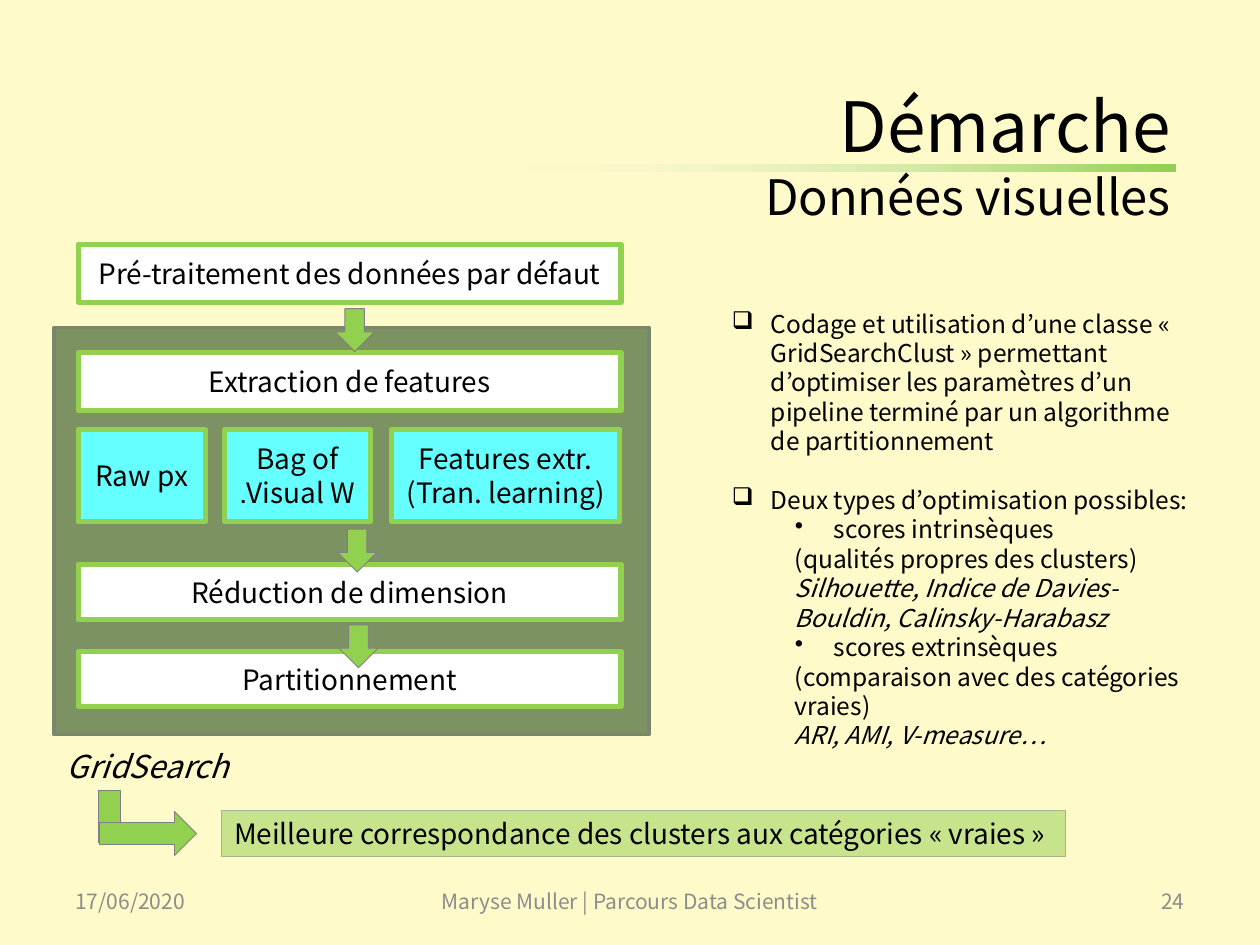
import pptx
import pptx.dml.color
import pptx.enum.shapes
import pptx.enum.text
import pptx.oxml.ns
import pptx.util
from dataclasses import dataclass
from lxml import etree

Inches = pptx.util.Inches
Pt = pptx.util.Pt
RGB = pptx.dml.color.RGBColor.from_string
SHAPE = pptx.enum.shapes.MSO_SHAPE
ALIGN = pptx.enum.text.PP_ALIGN
MIDDLE = pptx.enum.text.MSO_ANCHOR.MIDDLE
qn = pptx.oxml.ns.qn


@dataclass(frozen=True)
class Theme:
    font: str = "Noto Sans CJK JP"
    background: str = "FEFAC9"
    text: str = "000000"
    muted: str = "8C8C8C"
    green: str = "92D050"
    fade: str = "EEF2EA"
    panel: str = "7D9263"
    panel_line: str = "7A866C"
    banner_line: str = "A5B592"
    arrow_line: str = "808080"
    step: str = "FFFFFF"
    option: str = "66FFFF"
    title: float = 39.6
    subtitle: float = 27.9
    caption: float = 18
    label: float = 16
    body: float = 14
    footer: float = 12


theme = Theme()


def add_block(preset, box, fill, line, weight):
    block = slide.shapes.add_shape(preset, *map(Inches, box))
    block.shadow.inherit = False
    block.fill.solid()
    block.fill.fore_color.rgb = RGB(fill)
    block.line.color.rgb = RGB(line)
    block.line.width = Pt(weight)
    return block


def add_run(paragraph, text, size, color=theme.text, italic=False):
    run = paragraph.add_run()
    run.text = text
    run.font.name = theme.font
    run.font.size = Pt(size)
    run.font.color.rgb = RGB(color)
    run.font.italic = italic


presentation = pptx.Presentation()
presentation.slide_width, presentation.slide_height = Inches(10), Inches(7.5)
slide = presentation.slides.add_slide(presentation.slide_layouts[6])
slide.background.fill.solid()
slide.background.fill.fore_color.rgb = RGB(theme.background)

# Grid search panel, behind the pipeline
add_block(SHAPE.RECTANGLE, (0.43, 2.6, 4.72, 3.23), theme.panel, theme.panel_line, 2)

# Title
heading = slide.shapes.add_textbox(Inches(1.2), Inches(0.64), Inches(8.19), Inches(1.17)).text_frame
heading.word_wrap = True
heading.vertical_anchor = MIDDLE
heading_line = heading.paragraphs[0]
heading_line.alignment = ALIGN.RIGHT
add_run(heading_line, "Démarche", theme.title)
heading_line.add_line_break()
add_run(heading_line, "Données visuelles", theme.subtitle)

# Fading rule under the title
rule = add_block(SHAPE.RECTANGLE, (4.18, 1.31, 5.15, 0.05), theme.green, theme.green, 1)
rule.line.fill.background()
rule.fill.gradient()
rule.fill.gradient_angle = 180
for stop, position, color in zip(rule.fill.gradient_stops, (0, 1), (theme.green, theme.fade)):
    stop.position = position
    stop.color.rgb = RGB(color)
fade_color = list(rule._element.spPr.iter(qn("a:srgbClr")))[1]
etree.SubElement(fade_color, qn("a:alpha"), val="0")

# Footer
footer = [
    (0.5, 2.33, ALIGN.LEFT, "17/06/2020"),
    (3.15, 3.7, ALIGN.CENTER, "Maryse Muller | Parcours Data Scientist"),
    (7.17, 2.33, ALIGN.RIGHT, "24"),
]
for left, width, alignment, text in footer:
    note = slide.shapes.add_textbox(Inches(left), Inches(6.95), Inches(width), Inches(0.4)).text_frame
    note.word_wrap = True
    note.vertical_anchor = MIDDLE
    note.paragraphs[0].alignment = alignment
    add_run(note.paragraphs[0], text, theme.footer, theme.muted)

# Result banner, half transparent
banner = add_block(SHAPE.RECTANGLE, (1.76, 6.43, 6.7, 0.37), theme.green, theme.banner_line, 0.5)
banner_color = next(banner._element.spPr.iter(qn("a:srgbClr")))
etree.SubElement(banner_color, qn("a:alpha"), val="50000")
banner.text_frame.vertical_anchor = pptx.enum.text.MSO_ANCHOR.TOP
banner.text_frame.paragraphs[0].alignment = ALIGN.LEFT
add_run(banner.text_frame.paragraphs[0],
        "Meilleure correspondance des clusters aux catégories « vraies »", theme.label)

# Pipeline steps and the three feature options
pipeline = [
    ((0.62, 1.94, 4.31, 0.46), theme.step, "Pré-traitement des données par défaut"),
    ((0.62, 2.8, 4.31, 0.46), theme.step, "Extraction de features"),
    ((0.62, 3.41, 1.01, 0.73), theme.option, "Raw px"),
    ((1.78, 3.41, 1.16, 0.73), theme.option, "Bag of Visual W."),
    ((3.11, 3.41, 1.81, 0.73), theme.option, "Features extr. (Tran. learning)"),
    ((0.62, 4.48, 4.31, 0.44), theme.step, "Réduction de dimension"),
    ((0.62, 5.17, 4.31, 0.44), theme.step, "Partitionnement"),
]
for box, fill, text in pipeline:
    step = add_block(SHAPE.RECTANGLE, box, fill, theme.green, 3)
    step.text_frame.vertical_anchor = MIDDLE
    label = step.text_frame.paragraphs[0]
    label.alignment = ALIGN.CENTER
    if text.endswith("."):  # right-to-left: the final stop is shown on the left
        label._p.get_or_add_pPr().set("rtl", "1")
    add_run(label, text, theme.label)

# Panel caption
caption = slide.shapes.add_textbox(Inches(0.43), Inches(5.88), Inches(1.5), Inches(0.4)).text_frame
caption.word_wrap = False
add_run(caption.paragraphs[0], "GridSearch", theme.caption, italic=True)

# Comments: margin, indent, bullet, space before, italic, text
topic, score, detail = (0.31, -0.31, "❑"), (0.81, -0.31, "•"), (0.5, 0, None)
comments = [
    (topic, 0, False, "Codage et utilisation d’une classe « GridSearchClust » permettant "
     "d’optimiser les paramètres d’un pipeline terminé par un algorithme de partitionnement"),
    (topic, 16.8, False, "Deux types d’optimisation possibles:"),
    (score, 0, False, "scores intrinsèques"),
    (detail, 0, False, "(qualités propres des clusters)"),
    (detail, 0, True, "Silhouette, Indice de Davies-Bouldin, Calinsky-Harabasz"),
    (score, 0, False, "scores extrinsèques"),
    (detail, 0, False, "(comparaison avec des catégories vraies)"),
    (detail, 0, True, "ARI, AMI, V-measure…"),
]
remarks = slide.shapes.add_textbox(Inches(5.71), Inches(2.4), Inches(3.94), Inches(3.64)).text_frame
remarks.word_wrap = True
for index, ((margin, indent, bullet), gap, italic, text) in enumerate(comments):
    remark = remarks.add_paragraph() if index else remarks.paragraphs[0]
    properties = remark._p.get_or_add_pPr()
    properties.set("marL", str(Inches(margin)))
    properties.set("indent", str(Inches(indent)))
    if bullet:
        etree.SubElement(properties, qn("a:buChar"), char=bullet)
    if gap:
        remark.space_before = Pt(gap)
    if margin > topic[0]:
        remark.level = 1
    add_run(remark, text, theme.body, italic=italic)

# Arrows: elbow towards the banner, then the ones between steps
arrows = [
    (SHAPE.RECTANGLE, (0.78, 6.27, 0.18, 0.42)),
    (SHAPE.RIGHT_ARROW, (0.79, 6.44, 0.77, 0.35)),
    (SHAPE.DOWN_ARROW, (2.66, 2.45, 0.31, 0.34)),
    (SHAPE.DOWN_ARROW, (2.68, 4.2, 0.31, 0.34)),
    (SHAPE.DOWN_ARROW, (2.69, 4.96, 0.31, 0.34)),
]
for preset, box in arrows:
    add_block(preset, box, theme.green, theme.arrow_line, 0.5)

presentation.save("out.pptx")
